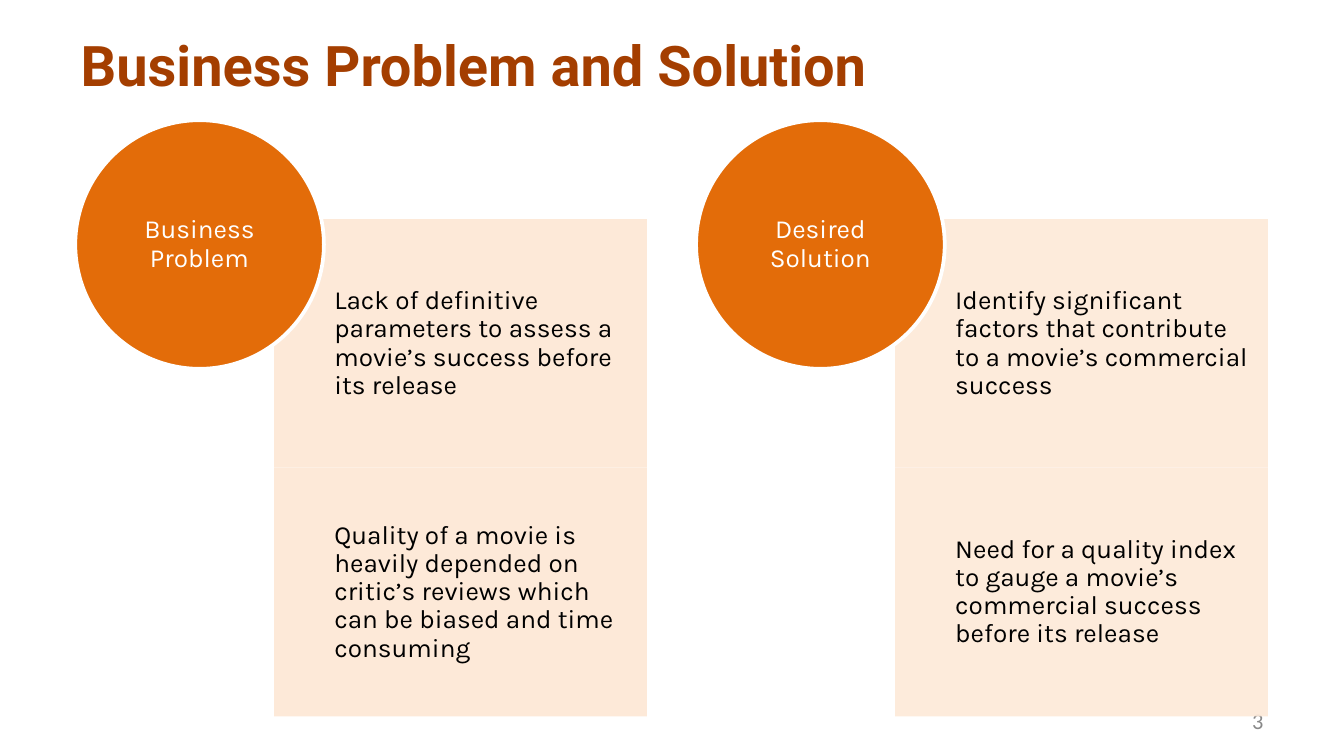
from lxml.etree import SubElement
from pptx import Presentation
from pptx.dml.color import RGBColor
from pptx.enum.shapes import MSO_SHAPE as Shape
from pptx.enum.text import MSO_ANCHOR as Anchor, MSO_AUTO_SIZE as AutoSize, PP_ALIGN as Align
from pptx.oxml.ns import qn
from pptx.util import Pt

RUST = RGBColor(0xA4, 0x3E, 0x00)
ORANGE = RGBColor(0xE3, 0x6C, 0x09)
PEACH = RGBColor(0xFD, 0xE9, 0xD8)
GREY = RGBColor(0x88, 0x88, 0x88)
BLACK = RGBColor(0, 0, 0)
WHITE = RGBColor(255, 255, 255)

# Layout in points
CIRCLE_LEFT, CIRCLE_TOP, CIRCLE_SIZE = 40.3, 64.4, 133.2
PANEL_LEFT, PANEL_TOP = 146.9, 117.4
PANEL_WIDTH, PANEL_HEIGHT = 199.7, 133.2
COLUMN_STEP = 332.6

TITLE_FONT = {"name": "Roboto", "size": Pt(30), "bold": True}
NUMBER_FONT = {"name": "Calibri", "size": Pt(12)}
BODY_FONT = {"name": "Karla", "size": Pt(14)}

# Heading, panel opacity in percent, statements
COLUMNS = [
    ("Business Problem", 100, [
        "Lack of definitive parameters to assess a movie’s success before its release",
        "Quality of a movie is heavily depended on critic’s reviews which can be "
        "biased and time consuming",
    ]),
    ("Desired Solution", 90, [
        "Identify significant factors that contribute to a movie’s commercial success",
        "Need for a quality index to gauge a movie’s commercial success before its release",
    ]),
]


def write_text(shape, text, font, color, align, insets=(7.2, 3.6, 7.2, 3.6), spacing=1.0):
    frame = shape.text_frame
    frame.word_wrap = True
    frame.auto_size = AutoSize.NONE
    frame.vertical_anchor = Anchor.MIDDLE
    for side, inset in zip(("left", "top", "right", "bottom"), insets):
        setattr(frame, f"margin_{side}", Pt(inset))
    frame.text = text
    paragraph = frame.paragraphs[0]
    paragraph.alignment = align
    paragraph.line_spacing = spacing
    for name, value in font.items():
        setattr(paragraph.font, name, value)
    paragraph.font.color.rgb = color


def add_filled(slide, kind, left, top, width, height, color):
    shape = slide.shapes.add_shape(kind, Pt(left), Pt(top), Pt(width), Pt(height))
    shape.shadow.inherit = False
    shape.fill.solid()
    shape.fill.fore_color.rgb = color
    shape.line.fill.background()
    return shape


def add_title(slide, text):
    title = slide.shapes.title
    title.left, title.top, title.width, title.height = Pt(36), Pt(16.6), Pt(648), Pt(36)
    write_text(title, text, TITLE_FONT, RUST, Align.LEFT)


def add_page_number(slide, number):
    box = slide.shapes.add_textbox(Pt(516.2), Pt(375.1), Pt(167.8), Pt(21.6))
    write_text(box, number, NUMBER_FONT, GREY, Align.RIGHT)


def add_panel(slide, left, top, text, opacity):
    panel = add_filled(slide, Shape.RECTANGLE, left, top, PANEL_WIDTH, PANEL_HEIGHT, PEACH)
    if opacity < 100:
        fill_color = panel.fill._xPr.find(f"{qn('a:solidFill')}/{qn('a:srgbClr')}")
        SubElement(fill_color, qn("a:alpha"), val=str(opacity * 1000))
    write_text(panel, text, BODY_FONT, BLACK, Align.LEFT, (32.2, 7.9, 7.9, 7.9), 0.9)


def add_heading_circle(slide, left, text):
    circle = add_filled(slide, Shape.OVAL, left, CIRCLE_TOP, CIRCLE_SIZE, CIRCLE_SIZE, ORANGE)
    circle.line.color.rgb = WHITE
    circle.line.width = Pt(2)
    write_text(circle, text, BODY_FONT, WHITE, Align.CENTER, (0, 0, 0, 0), 0.9)


def main():
    deck = Presentation()
    deck.slide_width, deck.slide_height = Pt(720), Pt(405)
    slide = deck.slides.add_slide(deck.slide_layouts[5])

    add_title(slide, "Business Problem and Solution")
    add_page_number(slide, "3")

    # Each column: stacked panels, with the heading circle over their corner
    for column, (heading, opacity, statements) in enumerate(COLUMNS):
        shift = column * COLUMN_STEP
        for row, statement in enumerate(statements):
            add_panel(slide, PANEL_LEFT + shift, PANEL_TOP + row * PANEL_HEIGHT,
                      statement, opacity)
        add_heading_circle(slide, CIRCLE_LEFT + shift, heading)

    deck.save("out.pptx")


if __name__ == "__main__":
    main()
